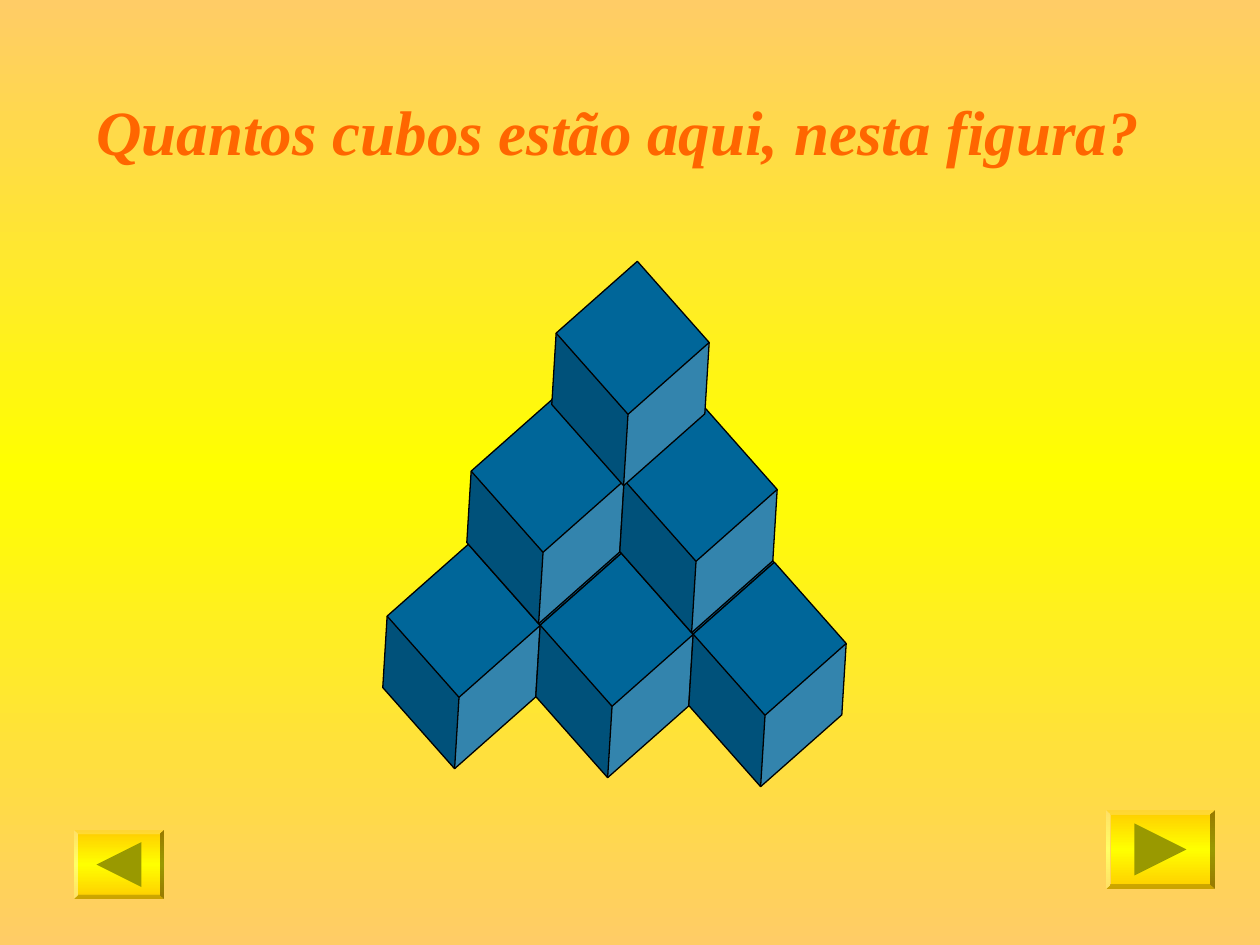
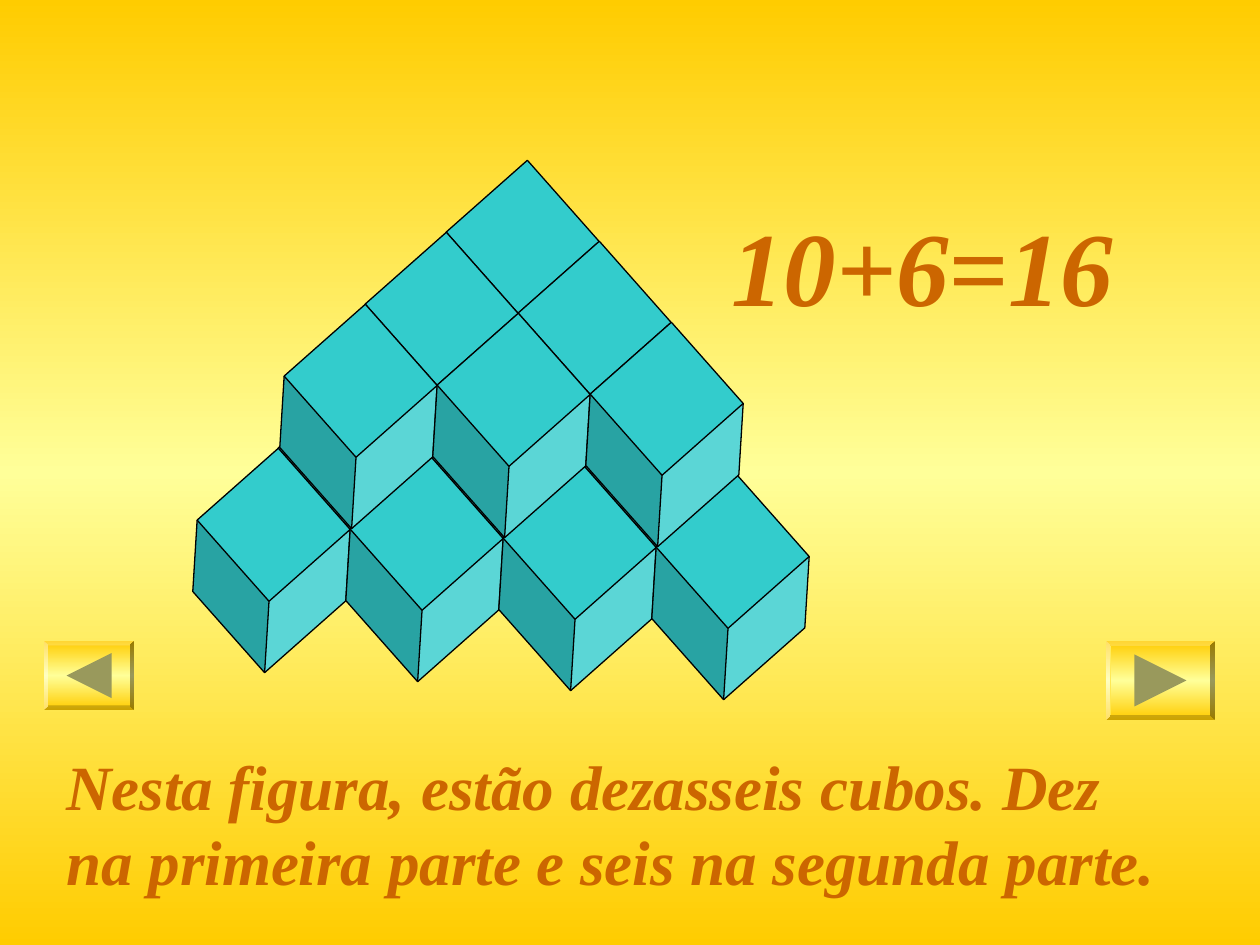
"""Builds two slides that count the cubes in stacked pyramids."""
from copy import deepcopy

from pptx import Presentation
from pptx.dml.color import RGBColor
from pptx.enum.shapes import MSO_SHAPE
from pptx.oxml.ns import qn
from pptx.util import Emu, Pt

CUBE = MSO_SHAPE.CUBE
BEVEL = MSO_SHAPE.BEVEL
TRIANGLE = MSO_SHAPE.ISOSCELES_TRIANGLE

BLACK = RGBColor(0x00, 0x00, 0x00)
PEACH = RGBColor(0xFF, 0xCC, 0x66)
GOLD = RGBColor(0xFF, 0xCC, 0x00)
YELLOW = RGBColor(0xFF, 0xFF, 0x00)
PALE_YELLOW = RGBColor(0xFF, 0xFF, 0x99)
OLIVE = RGBColor(0x99, 0x99, 0x00)
KHAKI = RGBColor(0x99, 0x99, 0x5C)
BLUE = RGBColor(0x00, 0x66, 0x99)
TURQUOISE = RGBColor(0x33, 0xCC, 0xCC)
ORANGE = RGBColor(0xFF, 0x66, 0x00)
BROWN = RGBColor(0xCC, 0x66, 0x00)

FONT = "Times New Roman"
PX = 914400 / 126
CUBE_SIZE = 159
STEP_SHORT, STEP_LONG = 72, 81

SLIDES = [
    {
        "background": (PEACH, YELLOW), "button": (GOLD, YELLOW), "arrow": OLIVE,
        "cube": BLUE,
        "layers": [(544, 433, 3), (547, 360, 2), (551, 294, 1)],
        "texts": [("Quantos cubos estão aqui, nesta figura?", (84, 86, 1131, 88), 36, ORANGE)],
        "next": (1106, 810), "previous": (74, 830),
    },
    {
        "background": (GOLD, PALE_YELLOW), "button": (GOLD, PALE_YELLOW), "arrow": KHAKI,
        "cube": TURQUOISE,
        "layers": [(435, 265, 4), (441, 193, 3)],
        "texts": [
            ("Nesta figura, estão dezasseis cubos. Dez na primeira parte e seis na segunda parte.",
             (54, 741, 1121, 164), 36, BROWN),
            ("10+6=16", (719, 195, 486, 139), 60, BROWN),
        ],
        "next": (1106, 641), "previous": (44, 641),
    },
]


def paint_gradient(fill, element, outer, inner):
    fill.gradient()
    fill.gradient_angle = 270
    first, middle = fill.gradient_stops
    first.position, first.color.rgb = 0, outer
    middle.position, middle.color.rgb = 0.5, inner
    stops = element.find(".//" + qn("a:gsLst"))
    last = deepcopy(stops[0])
    last.set("pos", "100000")
    stops.append(last)


def add_text(slide, text, *, box, size, color):
    frame = slide.shapes.add_textbox(*[Emu(round(n * PX)) for n in box]).text_frame
    frame.word_wrap = True
    paragraph = frame.paragraphs[0]
    run = paragraph.add_run()
    run.text = text
    run.font.name = FONT
    run.font.size = Pt(size)
    run.font.bold = run.font.italic = True
    run.font.color.rgb = color


presentation = Presentation()
presentation.slide_width = Emu(round(1260 * PX))
presentation.slide_height = Emu(round(945 * PX))

for content in SLIDES:
    slide = presentation.slides.add_slide(presentation.slide_layouts[6])
    paint_gradient(slide.background.fill, slide.element, *content["background"])

    for apex_x, apex_y, rows in content["layers"]:
        layer = slide.shapes.add_group_shape()
        for row in range(rows):
            for right in range(row + 1):
                left = row - right
                x = apex_x + right * STEP_SHORT - left * STEP_LONG
                y = apex_y + right * STEP_LONG + left * STEP_SHORT
                cube = layer.shapes.add_shape(
                    CUBE, *[Emu(round(n * PX)) for n in (x, y, CUBE_SIZE, CUBE_SIZE)])
                cube.adjustments[0] = 0.318
                cube.rotation = 138.5
                cube.shadow.inherit = False
                cube.fill.solid()
                cube.fill.fore_color.rgb = content["cube"]
                cube.line.color.rgb = BLACK
                cube.line.width = Pt(0.75)

    for text, box, size, color in content["texts"]:
        add_text(slide, text, box=box, size=size, color=color)

    for name, width, height, arrow_size, rotation in (
            ("next", 109, 79, 52, 90), ("previous", 90, 69, 45, 270)):
        x, y = content[name]
        button = slide.shapes.add_shape(
            BEVEL, *[Emu(round(n * PX)) for n in (x, y, width, height)])
        button.adjustments[0] = 0.06
        paint_gradient(button.fill, button.element, *content["button"])
        arrow = slide.shapes.add_shape(
            TRIANGLE, *[Emu(round(n * PX)) for n in (
                x + (width - arrow_size) / 2, y + (height - arrow_size) / 2,
                arrow_size, arrow_size)])
        arrow.rotation = rotation
        arrow.fill.solid()
        arrow.fill.fore_color.rgb = content["arrow"]
        for shape in (button, arrow):
            shape.shadow.inherit = False
            shape.line.fill.background()

presentation.save("out.pptx")
